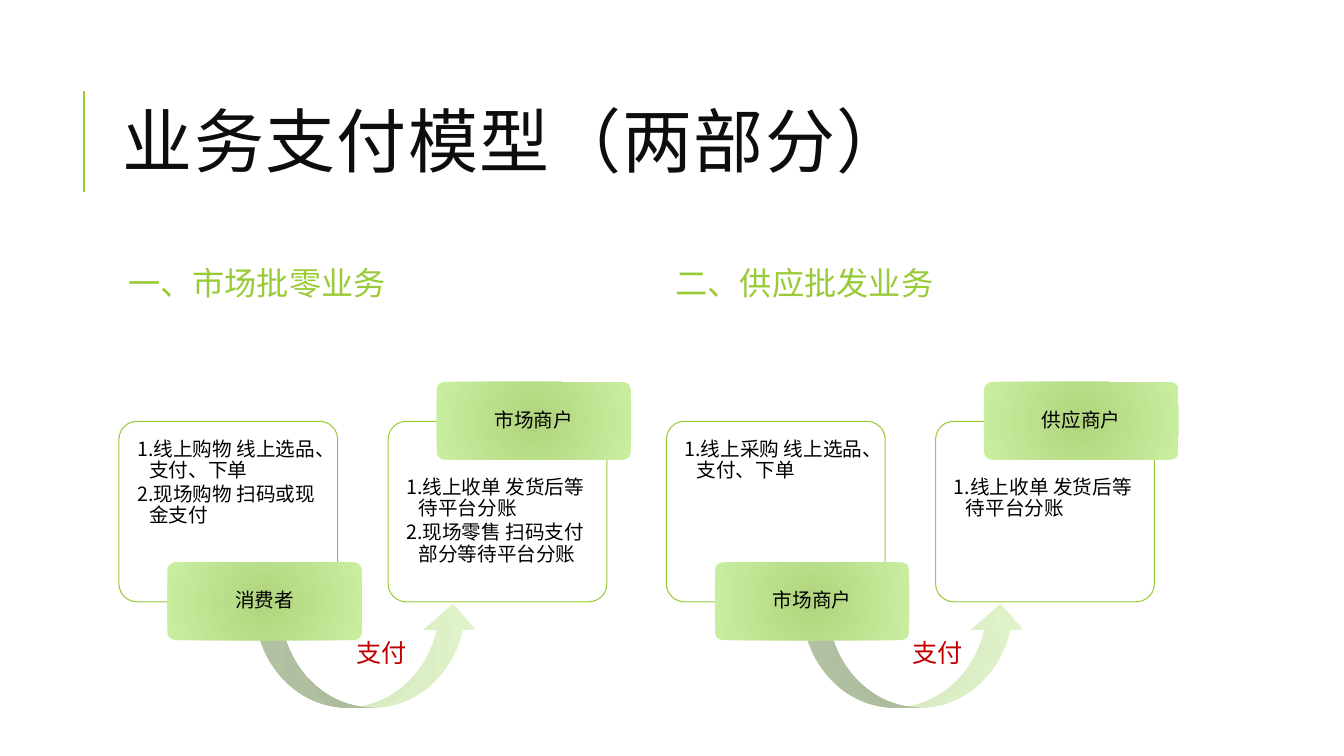
from lxml import etree
from pptx import Presentation
from pptx.dml.color import RGBColor
from pptx.enum import shapes as kinds, text as modes
from pptx.oxml import ns
from pptx.util import Inches, Pt

GREEN = RGBColor(0x99, 0xCB, 0x38)
INK = RGBColor(0x0D, 0x0D, 0x0D)
BLACK = RGBColor(0, 0, 0)
WHITE = RGBColor(0xFF, 0xFF, 0xFF)
RED = RGBColor(0xC0, 0, 0)
TAG = RGBColor(0xB0, 0xD5, 0x7D), RGBColor(0xCA, 0xEE, 0xA0)
ARROW = RGBColor(0xD4, 0xE7, 0xBF), RGBColor(0xE1, 0xF4, 0xCC)
SANS = "Noto Sans CJK SC"
MIDDLE = modes.MSO_ANCHOR.MIDDLE
ROUND = kinds.MSO_SHAPE.ROUNDED_RECTANGLE
CARD_W, CARD_H = 2.17, 1.79
TAG_W, TAG_H = 1.93, 0.77

FLOWS = [
    ("一、市场批零业务", 2.32,
     ("消费者", ["线上购物 线上选品、支付、下单", "现场购物 扫码或现金支付"]),
     ("市场商户", ["线上收单 发货后等待平台分账", "现场零售 扫码支付部分等待平台分账"])),
    ("二、供应批发业务", 2.4,
     ("市场商户", ["线上采购 线上选品、支付、下单"]),
     ("供应商户", ["线上收单 发货后等待平台分账"])),
]


def sub(node, tag, **attrs):
    return etree.SubElement(node, ns.qn(tag), **attrs)


def write(shape, lines, size, color, font=SANS, inset=(0.1, 0.05),
          anchor=modes.MSO_ANCHOR.TOP, spacing=1.0, numbered=False,
          align=modes.PP_ALIGN.LEFT, track=None):
    """Fill a shape with one paragraph per line."""
    frame = shape.text_frame
    frame.word_wrap = True
    frame.vertical_anchor = anchor
    frame.margin_left = frame.margin_right = Inches(inset[0])
    frame.margin_top = frame.margin_bottom = Inches(inset[1])
    for i, line in enumerate(lines):
        para = frame.add_paragraph() if i else frame.paragraphs[0]
        para.alignment = align
        para.line_spacing = spacing
        if numbered:
            para.space_after = Pt(2)
            props = para._p.get_or_add_pPr()
            props.set("marL", str(Inches(0.12)))
            props.set("indent", str(-Inches(0.12)))
            sub(props, "a:buAutoNum", type="arabicPeriod")
        run = para.add_run()
        run.text = line
        run.font.size = Pt(size)
        run.font.name = font
        run.font.color.rgb = color
        props = run._r.get_or_add_rPr()
        sub(props, "a:ea", typeface=SANS)
        if track:
            props.set("spc", str(track))


def add_text(host, box, lines, size, color, **style):
    shape = host.add_textbox(*map(Inches, box))
    write(shape, lines, size, color, **style)


def add_form(host, kind, box):
    form = host.add_shape(kind, *map(Inches, box))
    form.shadow.inherit = False
    if kind == ROUND:
        form.adjustments[0] = 0.1
    return form


def glow(form, colors):
    """Give a shape a radial gradient and no outline."""
    form.line.fill.background()
    form.fill.gradient()
    for stop, color in zip(form.fill.gradient_stops, colors):
        stop.color.rgb = color
    grad = form._element.spPr.find(ns.qn("a:gradFill"))
    grad.remove(grad.find(ns.qn("a:lin")))
    ring = sub(grad, "a:path", path="circle")
    sub(ring, "a:fillToRect", **dict.fromkeys("ltrb", "100000"))


def add_card(group, x, y, items, drop):
    card = add_form(group, ROUND, (x, y, CARD_W, CARD_H))
    card.fill.solid()
    card.fill.fore_color.rgb = WHITE
    tint = card._element.spPr.find(".//" + ns.qn("a:srgbClr"))
    sub(tint, "a:alpha", val="90000")
    card.line.color.rgb = GREEN
    card.line.width = Pt(0.75)
    add_text(group, (x + 0.04, y + drop, CARD_W - 0.08, 1.32), items, 14, BLACK,
             inset=(0.14, 0.14), spacing=0.9, numbered=True)


def add_tag(group, x, y, name):
    tag = add_form(group, ROUND, (x, y, TAG_W, TAG_H))
    glow(tag, TAG)
    write(tag, [name], 14, BLACK, inset=(0.03, 0.02), anchor=MIDDLE,
          spacing=0.9, align=modes.PP_ALIGN.CENTER)


def add_flow(host, x, y, head, pay, buyer, seller):
    """Heading, payer card, arrow and payee card of one business."""
    add_text(host, (x, y, 5.2, 0.9), [head], 23, GREEN, font="Cabin",
             inset=(0.15, 0.05), anchor=MIDDLE, spacing=0.9)
    group = host.add_group_shape().shapes
    left, right, top = x + 0.06, x + 2.73, y + 1.8
    add_card(group, left, top, buyer[1], 0.04)
    arrow = add_form(group, kinds.MSO_SHAPE.CURVED_UP_ARROW,
                     (x + 1.4, top + 1.81, 2.23, 1.03))
    glow(arrow, ARROW)
    add_tag(group, left + 0.48, top + 1.4, buyer[0])
    add_card(group, right, top, seller[1], 0.42)
    add_tag(group, right + 0.48, top - 0.39, seller[0])
    add_text(host, (x + pay, y + 3.89, 0.81, 0.4), ["支付"], 18, RED)


def add_title(host, x, y, w, h):
    rule = host.add_connector(kinds.MSO_CONNECTOR.STRAIGHT, Inches(x - 0.29),
                              Inches(y + 1.26), Inches(x - 0.29), Inches(y + 0.26))
    rule.line.color.rgb = GREEN
    rule.line.width = Pt(1.5)
    sub(rule._element.spPr, "a:effectLst")
    add_text(host, (x, y, w, h), ["业务支付模型（两部分）"], 50, INK,
             font="Calibri", anchor=MIDDLE, spacing=0.8, track=100)


def main():
    deck = Presentation()
    deck.slide_width, deck.slide_height = Inches(13.33), Inches(7.5)
    host = deck.slides.add_slide(deck.slide_layouts[6]).shapes
    add_title(host, 1.12, 0.64, 10.63, 1.64)
    for col, flow in enumerate(FLOWS):
        add_flow(host, 1.12 + 5.43 * col, 2.38, *flow)
    deck.save("out.pptx")


if __name__ == "__main__":
    main()
